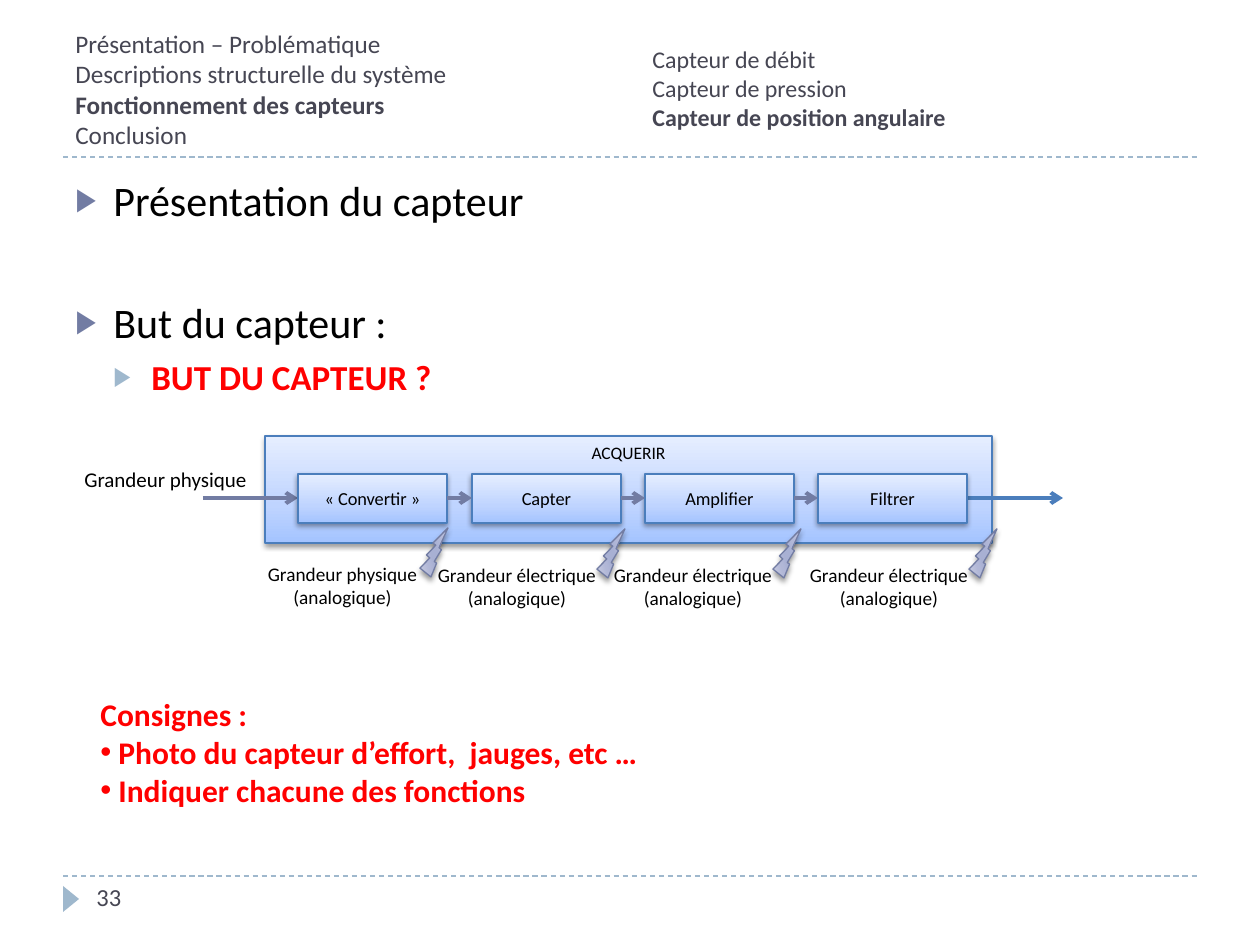
import pptx
import pptx.util
import pptx.dml.color
import pptx.enum.dml
import pptx.enum.shapes
import pptx.enum.text
import pptx.oxml.ns
import lxml.etree

SCALE = 914400 / 126
SHAPES = pptx.enum.shapes.MSO_SHAPE
ANCHOR = pptx.enum.text.MSO_ANCHOR
CENTER = pptx.enum.text.PP_ALIGN.CENTER
GRAY, RED, BLACK = "464653", "FF0000", "000000"
INDIGO, PALE, BLUE = "727CA3", "9FB8CD", "4B7EBC"
BOX_STOPS = [(0, "A4C4FF"), (35, "BFD4FF"), (100, "E6EEFF")]
BOLT_STOPS = [(0, "C9CDE2"), (30, "B1B7D7"), (45, "A8B0D3"),
              (55, "A8B0D3"), (73, "B1B7D7"), (100, "C9CDE2")]


def px(n):
    return pptx.util.Emu(round(n * SCALE))


def rgb(value):
    return pptx.dml.color.RGBColor.from_string(value)


def child(parent, tag, **attrs):
    el = lxml.etree.SubElement(parent, pptx.oxml.ns.qn(tag))
    for name, value in attrs.items():
        el.set(name, str(value))
    return el


def add_run(p, text, size, color, bold=False):
    r = p.add_run()
    r.text = text
    r.font.name = "Calibri"
    r.font.size = pptx.util.Pt(size)
    r.font.bold = bold
    r.font.color.rgb = rgb(color)


def add_paragraph(tf, first, text, size, color, bold=False, align=None):
    p = tf.paragraphs[0] if first else tf.add_paragraph()
    p.alignment = align
    add_run(p, text, size, color, bold)
    return p


def add_bullet(p, char, color=None, percent=100, left=0, hang=0):
    ppr = p._p.get_or_add_pPr()
    ppr.set("marL", str(px(left)))
    ppr.set("indent", str(-px(hang)))
    if color:
        child(child(ppr, "a:buClr"), "a:srgbClr", val=color)
    child(ppr, "a:buSzPct", val=percent * 1000)
    child(ppr, "a:buFont", typeface="Arial")
    child(ppr, "a:buChar", char=char)


def add_text(s, box, lines, size, color, anchor=ANCHOR.TOP, align=None,
             inset=True, wrap=True):
    tf = s.shapes.add_textbox(*map(px, box)).text_frame
    tf.word_wrap = wrap
    tf.vertical_anchor = anchor
    if not inset:
        tf.margin_left = tf.margin_right = tf.margin_top = tf.margin_bottom = 0
    for i, (text, bold) in enumerate(lines):
        add_paragraph(tf, i == 0, text, size, color, bold, align)
    return tf


def add_line(s, x1, y1, x2, y2, color, width, dashed=False, arrow=False):
    line = s.shapes.add_connector(pptx.enum.shapes.MSO_CONNECTOR.STRAIGHT,
                                  *map(px, (x1, y1, x2, y2)))
    line.line.color.rgb = rgb(color)
    line.line.width = pptx.util.Pt(width)
    if dashed:
        line.line.dash_style = pptx.enum.dml.MSO_LINE.DASH
    if arrow:
        child(line.line._get_or_add_ln(), "a:tailEnd", type="arrow")
    child(line._element.spPr, "a:effectLst")


def add_gradient_shape(s, kind, box, stops, angle, line, shadow):
    sp = s.shapes.add_shape(kind, *map(px, box))
    sp.fill.gradient()
    sp.fill.gradient_angle = 360 - angle
    spPr = sp._element.spPr
    gs_list = spPr.find(".//" + pptx.oxml.ns.qn("a:gsLst"))
    for gs in list(gs_list):
        gs_list.remove(gs)
    for pos, color in stops:
        child(child(gs_list, "a:gs", pos=pos * 1000), "a:srgbClr", val=color)
    sp.line.color.rgb = rgb(line)
    sp.line.width = pptx.util.Pt(0.75)
    sp.shadow.inherit = False
    blur, dist, alpha = shadow
    effects = spPr.find(pptx.oxml.ns.qn("a:effectLst"))
    outer = child(effects, "a:outerShdw", blurRad=pptx.util.Pt(blur),
                  dist=pptx.util.Pt(dist), dir=5400000, rotWithShape=0)
    child(child(outer, "a:srgbClr", val=BLACK), "a:alpha", val=alpha * 1000)
    return sp


def add_box(s, box, text, size, anchor):
    sp = add_gradient_shape(s, SHAPES.RECTANGLE, box, BOX_STOPS, 270, BLUE, (3.1, 1.6, 38))
    sp.text_frame.vertical_anchor = anchor
    add_paragraph(sp.text_frame, True, text, size, BLACK, align=CENTER)


def add_bolt(s, x, y):
    sp = add_gradient_shape(s, SHAPES.LIGHTNING_BOLT, (x, y, 28, 49), BOLT_STOPS, 16,
                            INDIGO, (3, 2, 40))
    sp._element.spPr.find(pptx.oxml.ns.qn("a:xfrm")).set("flipV", "1")


def add_frame(s):
    for y in (876, 157):
        add_line(s, 63, y, 1197, y, PALE, 0.75, dashed=True)
    sp = s.shapes.add_shape(SHAPES.ISOSCELES_TRIANGLE, *map(px, (58, 891, 26, 16)))
    sp.rotation = 90
    sp.shadow.inherit = False
    sp.fill.solid()
    sp.fill.fore_color.rgb = rgb(PALE)
    sp.line.fill.background()
    add_text(s, (84, 876, 273, 50), [("33", False)], 14, GRAY)


def add_headers(s):
    add_text(s, (63, 21, 557, 136),
             [("Présentation – Problématique", False),
              ("Descriptions structurelle du système", False),
              ("Fonctionnement des capteurs", True),
              ("Conclusion", False)], 14.4, GRAY, ANCHOR.MIDDLE)
    add_text(s, (640, 20, 557, 136),
             [("Capteur de débit", False),
              ("Capteur de pression", False),
              ("Capteur de position angulaire", True)], 13.7, GRAY, ANCHOR.MIDDLE)


def add_body(s):
    tf = add_text(s, (63, 168, 1134, 682), [], 24, BLACK)
    items = [("Présentation du capteur", 24, BLACK, False, 6, INDIGO, 38),
             ("But du capteur :", 24, BLACK, False, 41, INDIGO, 38),
             ("BUT DU CAPTEUR ?", 20, RED, True, 5, PALE, 76)]
    for i, (text, size, color, bold, before, bullet, left) in enumerate(items):
        p = add_paragraph(tf, i == 0, text, size, color, bold)
        p.space_before = pptx.util.Pt(before)
        add_bullet(p, "▶", bullet, 76, left, 38)
    tf = add_text(s, (88, 689, 1092, 127),
                  [("Consignes :", True),
                   (" Photo du capteur d’effort,  jauges, etc …", True),
                   (" Indiquer chacune des fonctions", True)], 18, RED)
    for p in tf.paragraphs[1:]:
        add_bullet(p, "•")


def add_chain(s):
    axis, width, step = 498, 149, 173.5
    add_box(s, (265, 436, 727, 107), "ACQUERIR", 10, ANCHOR.TOP)
    names = ["« Convertir »", "Capter", "Amplifier", "Filtrer"]
    lefts = [round(298 + i * step) for i in range(len(names))]
    end = lefts[-1] + width
    add_line(s, end, axis, end + 96, axis, BLUE, 2.25, arrow=True)
    add_line(s, 203, axis, lefts[0], axis, INDIGO, 2.25, arrow=True)
    for x, name in zip(lefts, names):
        add_box(s, (x, 474, width, 49), name, 10.5, ANCHOR.MIDDLE)
    add_text(s, (72, 460, 190, 38), [("Grandeur physique", False)], 12, BLACK, wrap=False)
    for x, following in zip(lefts, lefts[1:]):
        add_line(s, x + width, axis, following, axis, INDIGO, 2.25, arrow=True)
    labels = [(265, 562, 155, "physique"), (437, 563, 160, "électrique"),
              (613, 563, 160, "électrique"), (809, 563, 160, "électrique")]
    for x, y, w, kind in labels:
        add_text(s, (x, y, w, 47), [("Grandeur " + kind, False), ("(analogique)", False)],
                 11, BLACK, align=CENTER, inset=False)
        add_bolt(s, x + w, y - 34)


def main():
    prs = pptx.Presentation()
    prs.slide_width, prs.slide_height = px(1260), px(945)
    s = prs.slides.add_slide(prs.slide_layouts[6])
    add_frame(s)
    add_headers(s)
    add_body(s)
    add_chain(s)
    prs.save("out.pptx")


if __name__ == "__main__":
    main()
